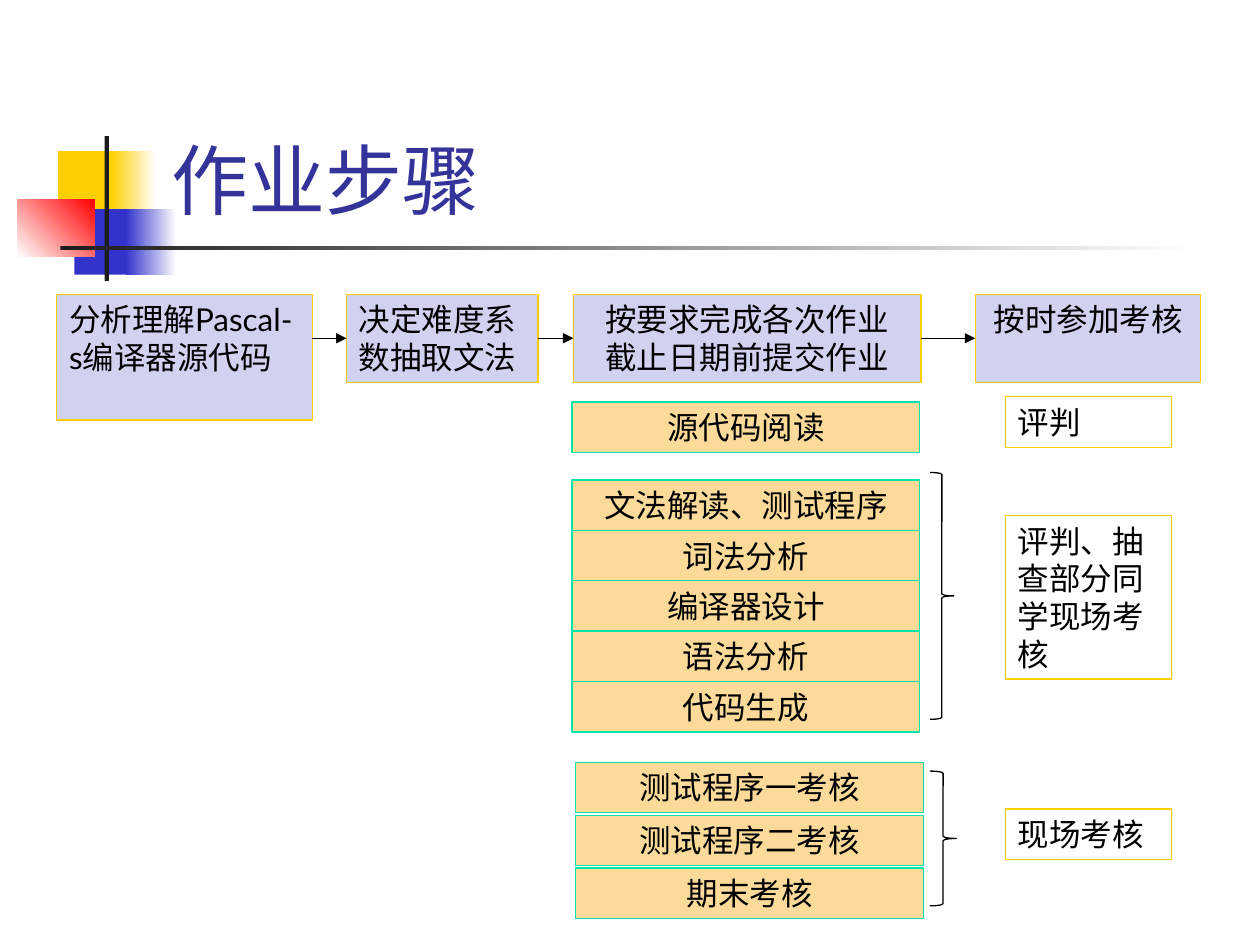
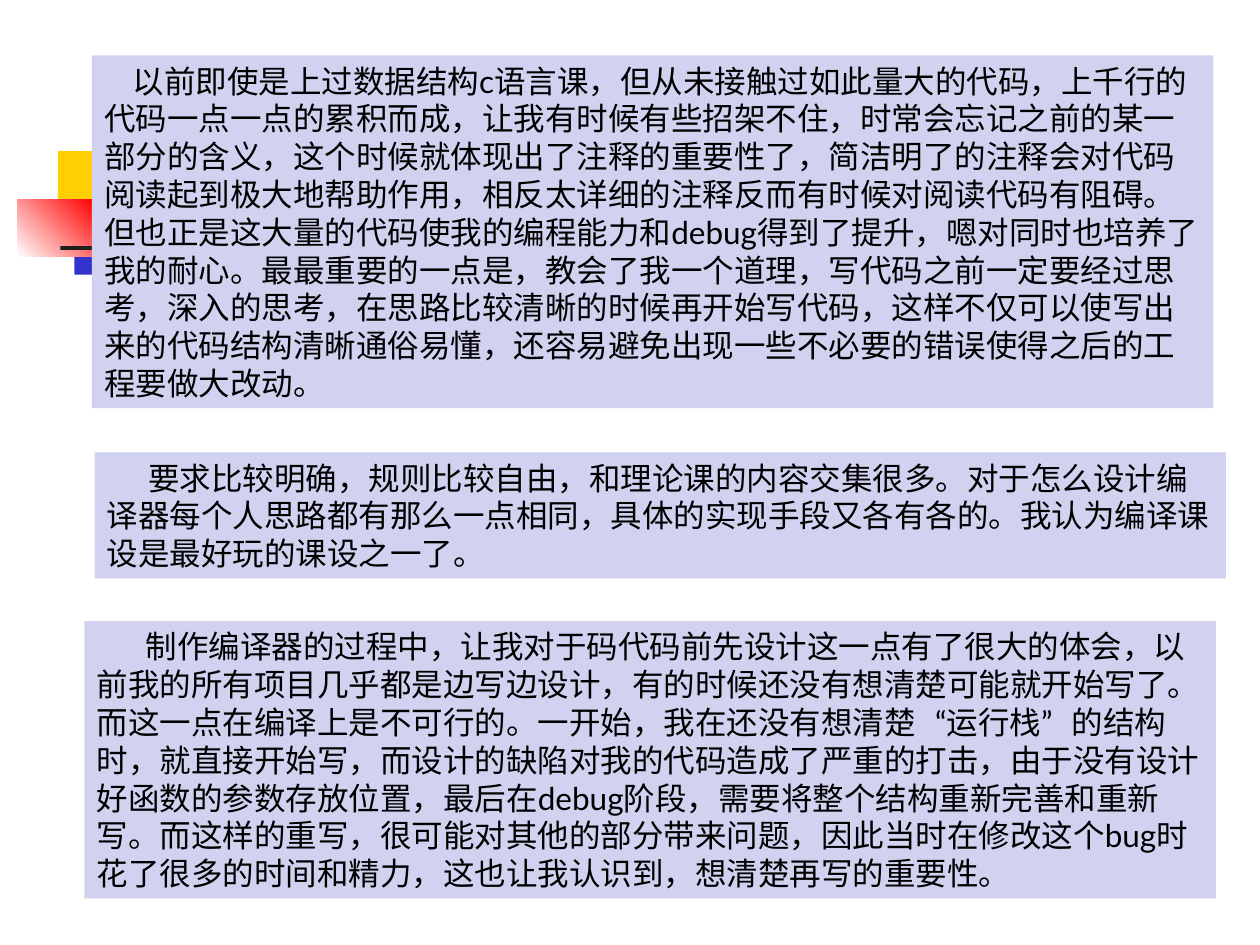
from pptx import Presentation
from pptx import util as u
from pptx.dml.color import RGBColor
from pptx.enum import shapes, text
from pptx.oxml import parse_xml
from pptx.oxml.ns import nsdecls, qn

WIDTH, HEIGHT = u.Inches(10), u.Inches(7.5)
COLUMNS, ROWS = 100, 75

BLACK = RGBColor(0x00, 0x00, 0x00)
WHITE = RGBColor(0xFF, 0xFF, 0xFF)
INK = RGBColor(0x1C, 0x1C, 0x1C)
NAVY = RGBColor(0x33, 0x33, 0x99)
BLUE = RGBColor(0x33, 0x33, 0xCC)
RED = RGBColor(0xFF, 0x00, 0x00)
YELLOW = RGBColor(0xFF, 0xCF, 0x01)
LAVENDER = RGBColor(0xD1, 0xD1, 0xF0)
APRICOT = RGBColor(0xFC, 0xDB, 0x9A)
MINT = RGBColor(0x00, 0xE4, 0xA8)

FONT = "Lato"
LINE_WIDTH = u.Pt(0.75)
QUOTE_GAP = 11  # points that widen a curly quote to a full-width cell
LEFT, CENTER = text.PP_ALIGN.LEFT, text.PP_ALIGN.CENTER
FRAME = {
    "word_wrap": True, "auto_size": text.MSO_AUTO_SIZE.NONE,
    "margin_left": u.Inches(0.1), "margin_right": u.Inches(0.1),
    "margin_top": u.Inches(0.05), "margin_bottom": u.Inches(0.05),
}

# Place on the grid, colours of the fill (two make a gradient), angle
MOTIF = [
    ((4.6, 12, 4.8, 5.2), (YELLOW,), 0),
    ((8.8, 12, 3.6, 5.2), (YELLOW, WHITE), 0),
    ((5.9, 16.6, 4.6, 5.2), (BLUE,), 0),
    ((10, 16.6, 4, 5.2), (BLUE, WHITE), 0),
    ((1.4, 15.8, 6.1, 4.6), (WHITE, RED), 45),
    ((8.3, 10.8, 0.35, 11.5), (INK,), 0),
    ((4.8, 19.5, 90, 0.35), (INK, WHITE), 0),
]

# Left column, width, height, alignment, lines
STEPS = [
    (4.5, 20.3, 10, LEFT, ["分析理解Pascal-s编译器源代码"]),
    (27.5, 15.2, 7, LEFT, ["决定难度系数抽取文法"]),
    (45.5, 27.6, 7, CENTER, ["按要求完成各次作业", "截止日期前提交作业"]),
    (77.4, 17.9, 7, CENTER, ["按时参加考核"]),
]
STEP_TOP, ARROW_ROW = 23.35, 26.85

# Left column, top row, row pitch, tasks
TASK_GROUPS = [
    (45.4, 31.9, 4, ["源代码阅读"]),
    (45.4, 38.1, 4, ["文法解读、测试程序", "词法分析", "编译器设计", "语法分析", "代码生成"]),
    (45.7, 60.5, 4.2, ["测试程序一考核", "测试程序二考核", "期末考核"]),
]
TASK_WIDTH, LABEL_HEIGHT = 27.6, 4

BRACES = [(73.8, 37.5, 1.9, 19.6), (73.8, 61.2, 2.1, 10.7)]
REVIEWS = [
    (31.5, LABEL_HEIGHT, "评判"),
    (40.9, 13, "评判、抽查部分同学现场考核"),
    (64.2, LABEL_HEIGHT, "现场考核"),
]
REVIEW_LEFT, REVIEW_WIDTH = 79.8, 13.2

# Place on the grid, first-line indent in columns, words
COMMENTS = [
    ((7.3, 4.4, 89, 28), 2.25,
     "以前即使是上过数据结构c语言课，但从未接触过如此量大的代码，上千行的代码一点一点的累积而成，"
     "让我有时候有些招架不住，时常会忘记之前的某一部分的含义，这个时候就体现出了注释的重要性了，"
     "简洁明了的注释会对代码阅读起到极大地帮助作用，相反太详细的注释反而有时候对阅读代码有阻碍。"
     "但也正是这大量的代码使我的编程能力和debug得到了提升，嗯对同时也培养了我的耐心。"
     "最最重要的一点是，教会了我一个道理，写代码之前一定要经过思考，深入的思考，"
     "在思路比较清晰的时候再开始写代码，这样不仅可以使写出来的代码结构清晰通俗易懂，"
     "还容易避免出现一些不必要的错误使得之后的工程要做大改动。"),
    ((7.5, 35.9, 89.8, 10), 3.3,
     "要求比较明确，规则比较自由，和理论课的内容交集很多。"
     "对于怎么设计编译器每个人思路都有那么一点相同，具体的实现手段又各有各的。"
     "我认为编译课设是最好玩的课设之一了。"),
    ((6.7, 49.3, 89.8, 22), 3.9,
     "制作编译器的过程中，让我对于码代码前先设计这一点有了很大的体会，"
     "以前我的所有项目几乎都是边写边设计，有的时候还没有想清楚可能就开始写了。"
     "而这一点在编译上是不可行的。一开始，我在还没有想清楚“运行栈”的结构时，就直接开始写，"
     "而设计的缺陷对我的代码造成了严重的打击，由于没有设计好函数的参数存放位置，"
     "最后在debug阶段，需要将整个结构重新完善和重新写。而这样的重写，很可能对其他的部分带来问题，"
     "因此当时在修改这个bug时花了很多的时间和精力，这也让我认识到，想清楚再写的重要性。"),
]


def across(columns):
    return round(WIDTH * columns / COLUMNS)


def down(rows):
    return round(HEIGHT * rows / ROWS)


def on_grid(place):
    left, top, width, height = place
    return across(left), down(top), across(width), down(height)


def apply(target, values):
    for name, value in values.items():
        setattr(target, name, value)


def add_preset(page, kind, place, fills=(), line=None, angle=0):
    """Draw a preset shape; no fill colour leaves it open, two make a gradient."""
    shape = page.shapes.add_shape(kind, *on_grid(place))
    shape.shadow.inherit = False
    if len(fills) == 2:
        shape.fill.gradient()
        shape.fill.gradient_angle = angle
        for stop, color in zip(shape.fill.gradient_stops, fills):
            stop.color.rgb = color
    elif fills:
        shape.fill.solid()
        shape.fill.fore_color.rgb = fills[0]
    else:
        shape.fill.background()
    if line is None:
        shape.line.fill.background()
    else:
        shape.line.color.rgb = line
        shape.line.width = LINE_WIDTH
    return shape


def split_at_quotes(line):
    """Yield (words, gap): a gap follows the sign before “ and follows ”."""
    before, opening, rest = line.partition("“")
    if not opening:
        yield line, 0
        return
    quoted, closing, after = rest.partition("”")
    yield before[:-1], 0
    yield before[-1], QUOTE_GAP
    yield opening + quoted, 0
    yield closing, QUOTE_GAP
    yield after, 0


def add_span(para, words, size, color, gap):
    span = para.add_run()
    span.text = words
    apply(span.font, {"name": FONT, "size": u.Pt(size)})
    span.font.color.rgb = color
    east_asian = parse_xml(f'<a:ea {nsdecls("a")} typeface="{FONT}"/>')
    span.font._element.find(qn("a:latin")).addnext(east_asian)
    if gap:
        span.font._element.set("spc", str(gap * 100))


def write(shape, lines, size=18, color=BLACK, align=LEFT,
          anchor=text.MSO_ANCHOR.TOP, indent=0):
    frame = shape.text_frame
    apply(frame, {**FRAME, "vertical_anchor": anchor})
    for number, line in enumerate(lines):
        para = frame.add_paragraph() if number else frame.paragraphs[0]
        para.alignment = align
        layout = para._p.get_or_add_pPr()
        layout.set("hangingPunct", "0")
        layout.set("indent", str(across(indent)))
        for words, gap in split_at_quotes(line):
            add_span(para, words, size, color, gap)


def add_box(page, place, lines, fills=(), line=None, **style):
    box = add_preset(page, shapes.MSO_SHAPE.RECTANGLE, place, fills, line)
    write(box, lines, **style)
    return box


def add_title(page, words):
    box = page.shapes.add_textbox(*on_grid((12.6, 2.35, 85.2, 16)))
    write(box, [words], size=44, color=NAVY, anchor=text.MSO_ANCHOR.BOTTOM)


def add_motif(page, limit=COLUMNS):
    """Draw the corner motif: the parts that begin left of the limit column."""
    for place, fills, angle in MOTIF:
        if place[0] < limit:
            add_preset(page, shapes.MSO_SHAPE.RECTANGLE, place, fills, angle=angle)


def add_arrow(page, source, target):
    row = down(ARROW_ROW)
    arrow = page.shapes.add_connector(
        shapes.MSO_CONNECTOR.STRAIGHT,
        source.left + source.width, row, target.left, row)
    if source.top + source.height // 2 == row:
        arrow.begin_connect(source, 3)
    arrow.end_connect(target, 1)
    arrow.line.color.rgb = BLACK
    arrow.line.width = LINE_WIDTH
    arrow.line._get_or_add_ln().append(
        parse_xml(f'<a:tailEnd {nsdecls("a")} type="triangle"/>'))
    arrow._element.spPr.append(parse_xml(f'<a:effectLst {nsdecls("a")}/>'))


def add_steps(page):
    boxes = [
        add_box(page, (left, STEP_TOP, width, height), lines,
                (LAVENDER,), YELLOW, align=align)
        for left, width, height, align, lines in STEPS
    ]
    for source, target in zip(boxes, boxes[1:]):
        add_arrow(page, source, target)


def add_tasks(page):
    for left, top, pitch, tasks in TASK_GROUPS:
        for row, task in enumerate(tasks):
            place = left, top + row * pitch, TASK_WIDTH, LABEL_HEIGHT
            add_box(page, place, [task], (APRICOT,), MINT, align=CENTER)


def add_reviews(page):
    for place in BRACES:
        add_preset(page, shapes.MSO_SHAPE.RIGHT_BRACE, place, line=BLACK)
    for top, height, words in REVIEWS:
        add_box(page, (REVIEW_LEFT, top, REVIEW_WIDTH, height), [words], line=YELLOW)


def build_steps_page(page):
    add_motif(page)
    add_title(page, "作业步骤")
    add_steps(page)
    add_tasks(page)
    add_reviews(page)


def build_comments_page(page):
    add_motif(page, limit=COMMENTS[0][0][0])
    for place, indent, words in COMMENTS:
        add_box(page, place, [words], (LAVENDER,), indent=indent)


def main():
    deck = Presentation()
    apply(deck, {"slide_width": WIDTH, "slide_height": HEIGHT})
    blank = deck.slide_layouts[6]
    for build in (build_steps_page, build_comments_page):
        build(deck.slides.add_slide(blank))
    deck.save("out.pptx")


if __name__ == "__main__":
    main()
